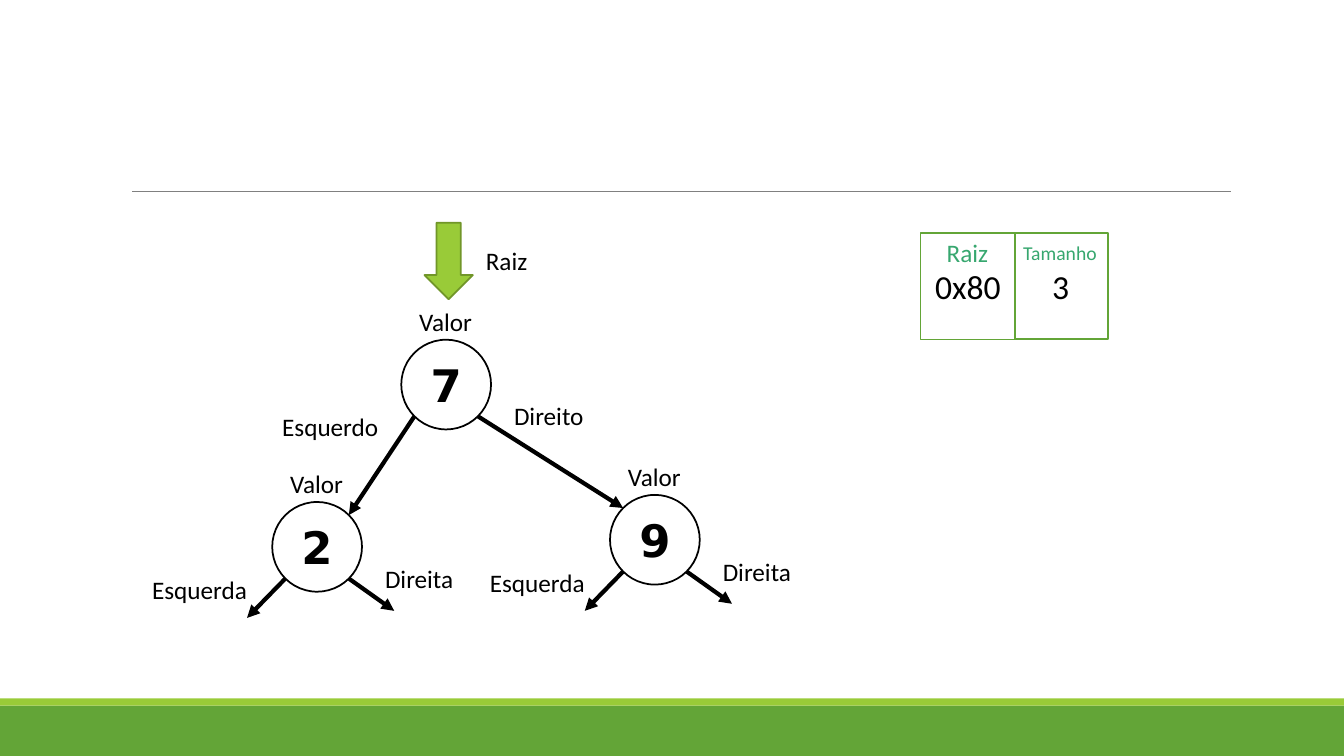
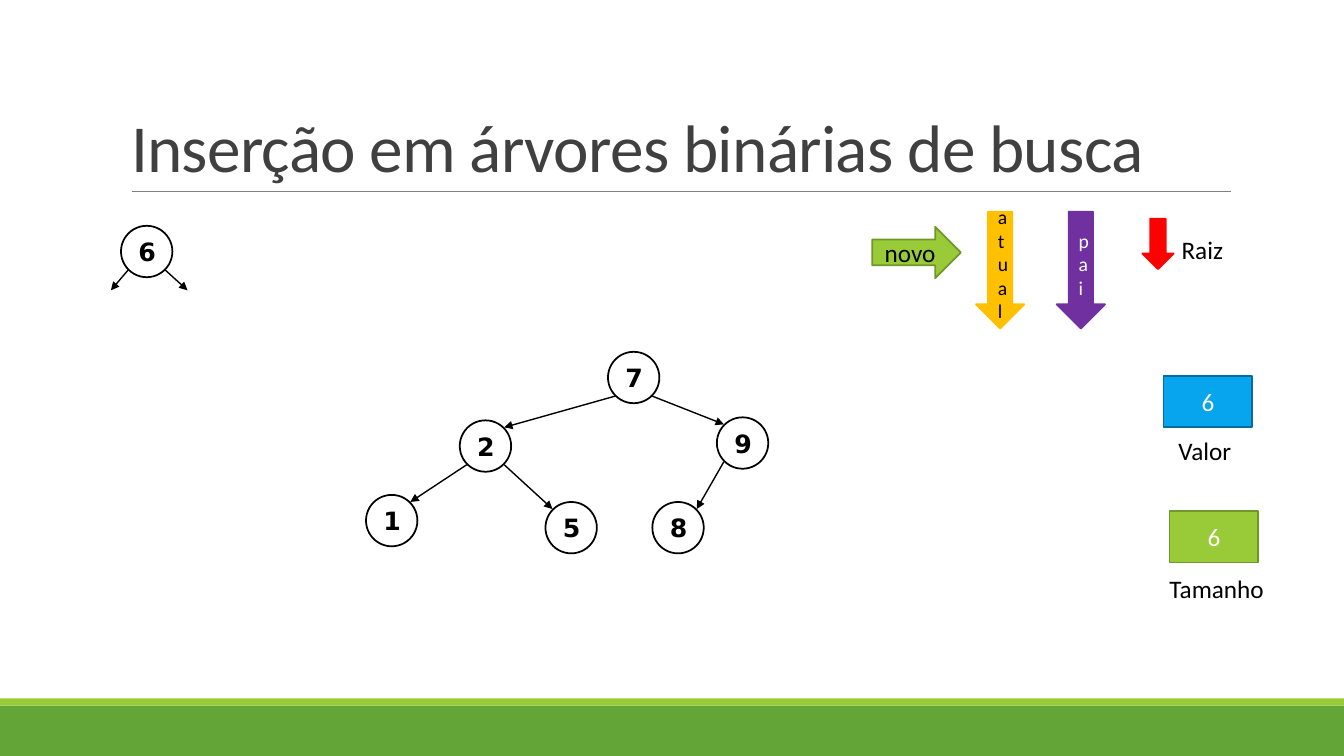
import pptx
import pptx.util
import pptx.dml.color
import pptx.enum.shapes
import pptx.enum.text
import pptx.oxml
import pptx.oxml.ns

PX = 9144
KIND = pptx.enum.shapes.MSO_SHAPE
ALIGN = pptx.enum.text.PP_ALIGN
ANCHOR = pptx.enum.text.MSO_ANCHOR
FIT = pptx.enum.text.MSO_AUTO_SIZE
TITLE_ONLY, BLANK = 5, 6

BLACK, WHITE, GRAY, DARK = "000000", "FFFFFF", "808080", "404040"
GREEN, LIME, MOSS, TEAL = "63A537", "99CB38", "719629", "37A76F"
BLUE, NAVY = "08A5EF", "056EA0"
RED, GOLD, PURPLE = "FF0000", "FFC000", "7030A0"


def hue(code):
    return pptx.dml.color.RGBColor.from_string(code)


def px(*sizes):
    return [pptx.util.Emu(round(size * PX)) for size in sizes]


class Node:
    def __init__(self, left, top, side):
        self.left, self.top, self.side = left, top, side

    def edge(self, across, down):
        half = self.side / 2
        reach = half * 0.707
        return (round(self.left + half + across * reach),
                round(self.top + half + down * reach))


class Deck:
    face = "Calibri"
    digit = "DejaVu Sans"

    def __init__(self):
        self.show = pptx.Presentation()
        self.show.slide_width, self.show.slide_height = px(1333, 750)
        self.slide = None

    def start(self, layout):
        first = self.slide is None
        self.slide = self.show.slides.add_slide(self.show.slide_layouts[layout])
        if first:
            self.frame()

    def frame(self):
        parts = [
            self.shape(KIND.RECTANGLE, (0, 700, 1333, 50), GREEN),
            self.shape(KIND.RECTANGLE, (0, 693, 1333, 7), LIME),
            self.line((131, 190), (1221, 190), 0.5, GRAY, False),
        ]
        for mark, part in enumerate(parts, 20):
            part.element.xpath(".//p:cNvPr")[0].set("id", str(mark))
            self.show.slide_master.shapes.element.append(part.element)

    def style(self, frame, text, size, ink, bold=False, face=None):
        frame.text = text
        para = frame.paragraphs[0]
        font = para.runs[0].font
        font.name = face or self.face
        font.size = pptx.util.Pt(size)
        font.bold = bold
        font.color.rgb = hue(ink)
        return para

    def title(self, text):
        hold = self.slide.shapes.title
        hold.left, hold.top, hold.width, hold.height = px(120, 31, 1100, 159)
        frame = hold.text_frame
        frame.auto_size = FIT.NONE
        frame.vertical_anchor = ANCHOR.BOTTOM
        para = self.style(frame, text, 48, DARK)
        para.alignment = ALIGN.LEFT
        para.line_spacing = 0.85
        para.runs[0]._r.get_or_add_rPr().set("spc", "-50")

    def shape(self, kind, box, fill, edge=None, text="", size=18, ink=BLACK, **font):
        form = self.slide.shapes.add_shape(kind, *px(*box))
        form.shadow.inherit = False
        form.fill.solid()
        form.fill.fore_color.rgb = hue(fill)
        if edge:
            form.line.color.rgb = hue(edge)
            form.line.width = pptx.util.Pt(1.25)
        else:
            form.line.fill.background()
        if text:
            form.text_frame.vertical_anchor = ANCHOR.MIDDLE
            para = self.style(form.text_frame, text, size, ink, **font)
            para.alignment = ALIGN.CENTER
        return form

    def label(self, text, left, top, width, ink=BLACK, size=18):
        high = 40 if size == 18 else 34
        box = self.slide.shapes.add_textbox(*px(left, top, width, high))
        box.text_frame.word_wrap = False
        box.text_frame.auto_size = FIT.SHAPE_TO_FIT_TEXT
        self.style(box.text_frame, text, size, ink)
        return box

    def line(self, begin, end, width, ink=BLACK, head=True):
        link = self.slide.shapes.add_connector(
            pptx.enum.shapes.MSO_CONNECTOR.STRAIGHT, *px(*begin, *end))
        link.line.color.rgb = hue(ink)
        link.line.width = pptx.util.Pt(width)
        if head:
            tip = pptx.oxml.parse_xml(
                '<a:tailEnd %s type="triangle"/>' % pptx.oxml.ns.nsdecls("a"))
            link.line._get_or_add_ln().append(tip)
        link.element.spPr.append(pptx.oxml.parse_xml(
            "<a:effectLst %s/>" % pptx.oxml.ns.nsdecls("a")))
        return link

    def node(self, text, left, top, side, size):
        self.shape(KIND.OVAL, (left, top, side, side), WHITE, BLACK,
                   text, size, bold=True, face=self.digit)
        return Node(left, top, side)

    def link(self, top, low, width):
        way = 1 if low.left > top.left else -1
        self.line(top.edge(way, 1), low.edge(-way, -1), width)

    def arms(self, node, left, right, width):
        for way, (across, down) in ((-1, left), (1, right)):
            x, y = node.edge(way, 1)
            self.line((x, y), (x + across, y + down), width)


def model(deck):
    deck.start(BLANK)
    deck.shape(KIND.RECTANGLE, (1005, 231, 94, 105), WHITE, GREEN, "3", 24)

    tree = []
    for text, left, top in (("7", 398, 337), ("2", 270, 498), ("9", 605, 491)):
        tree.append(deck.node(text, left, top, 89, 32))
        deck.label("Valor", left + 8, top - 38, 73)
    root, *leaves = tree
    for leaf in leaves:
        deck.link(root, leaf, 3)
        deck.arms(leaf, (-38, 39), (45, 32), 3)
        deck.label("Esquerda", leaf.left - 129, leaf.top + 67, 115)
        deck.label("Direita", leaf.left + 102, leaf.top + 56, 89)
    deck.label("Esquerdo", 270, 403, 117)
    deck.label("Direito", 500, 392, 90)

    deck.shape(KIND.RECTANGLE, (913, 231, 94, 106), WHITE, GREEN, "0x80", 24)
    deck.label("Raiz", 929, 231, 62, TEAL)
    deck.label("Tamanho", 1005, 234, 94, TEAL, 14)
    deck.shape(KIND.DOWN_ARROW, (421, 221, 48, 76), LIME, MOSS)
    deck.label("Raiz", 472, 238, 62)


def insert(deck):
    deck.start(TITLE_ONLY)
    deck.title("Inserção em árvores binárias de busca")

    spots = {"7": (603, 349), "9": (711, 414), "2": (456, 417),
             "5": (541, 498), "1": (363, 491), "8": (647, 498), "6": (120, 224)}
    tree = {text: deck.node(text, *spot, 51, 18) for text, spot in spots.items()}
    for top, low in ("79", "72", "25", "21", "98"):
        deck.link(tree[top], tree[low], 1)
    deck.arms(tree["6"], (-17, 20), (22, 20), 1)

    deck.slide.shapes.add_group_shape([
        deck.shape(KIND.DOWN_ARROW, (1133, 217, 31, 50), RED, RED),
        deck.label("Raiz", 1162, 228, 62),
    ])
    deck.shape(KIND.RECTANGLE, (1154, 373, 88, 51), BLUE, NAVY, "6", ink=WHITE)
    deck.label("Valor", 1159, 427, 73)
    deck.shape(KIND.RECTANGLE, (1160, 507, 88, 51), LIME, MOSS, "6", ink=WHITE)
    deck.label("Tamanho", 1150, 564, 115)

    deck.shape(KIND.RIGHT_ARROW, (865, 225, 88, 51), LIME, MOSS, "novo")
    for text, left, fill, ink in (("atual", 968, GOLD, BLACK),
                                  ("pai", 1048, PURPLE, WHITE)):
        deck.shape(KIND.DOWN_ARROW, (left, 210, 48, 116), fill, fill, text, 14, ink)


def main():
    deck = Deck()
    model(deck)
    insert(deck)
    deck.show.save("out.pptx")


if __name__ == "__main__":
    main()
